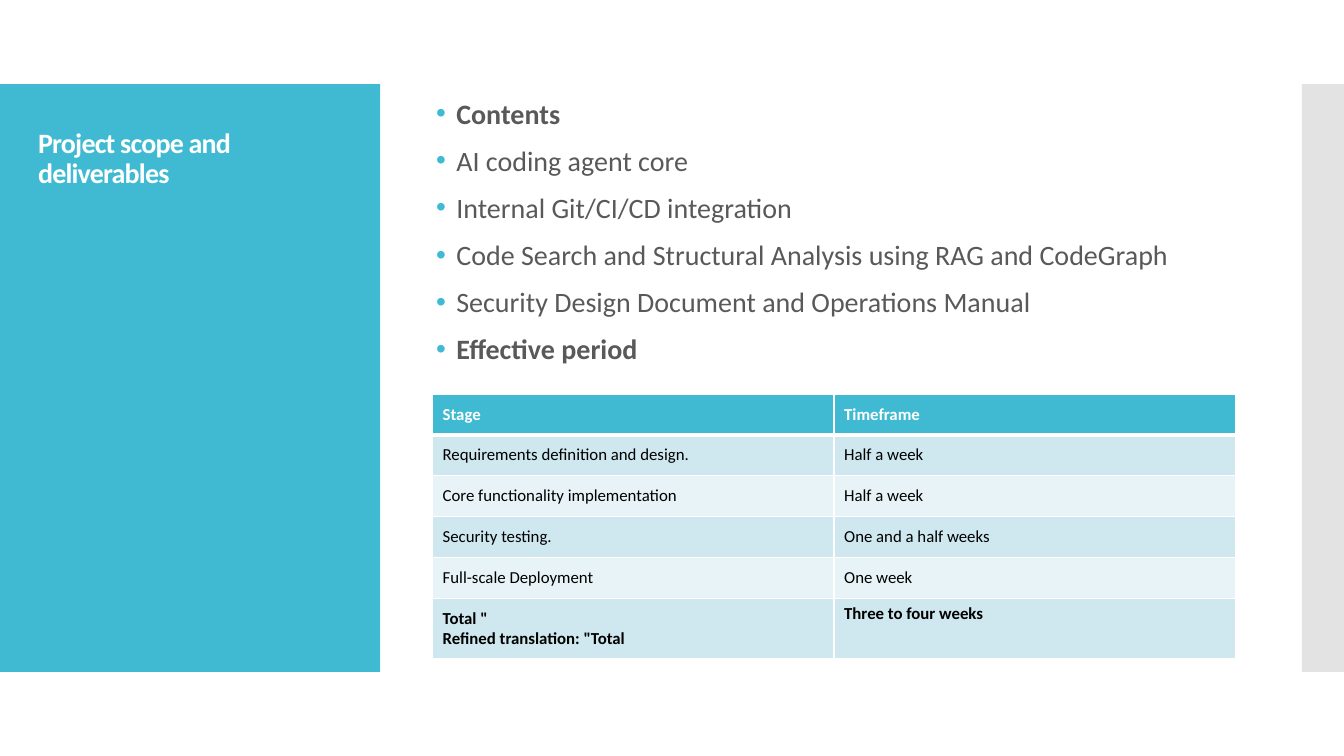
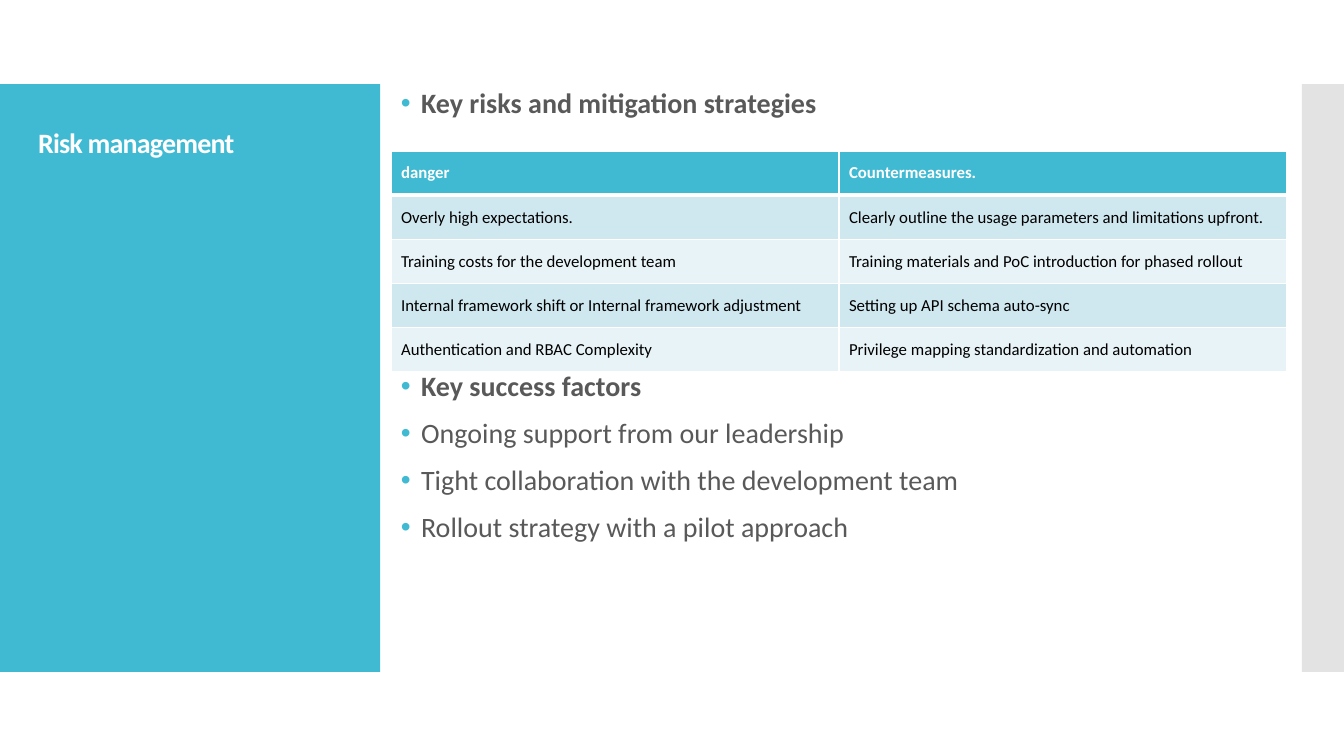
from lxml import etree
from pptx import Presentation
from pptx.dml.color import RGBColor
from pptx.enum.shapes import MSO_SHAPE
from pptx.enum.text import MSO_ANCHOR
from pptx.oxml.ns import qn
from pptx.util import Inches, Pt

RECT = MSO_SHAPE.RECTANGLE
MIDDLE = MSO_ANCHOR.MIDDLE
TOP = MSO_ANCHOR.TOP

TEAL = RGBColor(0x40, 0xBA, 0xD2)
GREY = RGBColor(0xC8, 0xC8, 0xC8)
INK = RGBColor(0x59, 0x59, 0x59)
WHITE = RGBColor(0xFF, 0xFF, 0xFF)
BLACK = RGBColor(0x00, 0x00, 0x00)
BANDS = [RGBColor(0xE8, 0xF3, 0xF7), RGBColor(0xCF, 0xE7, 0xEE)]
FONT = "Calibri"

ROWS, COLS = 18, 32
UNIT = Inches(7.5) // ROWS
PANEL = (0, 2, 9.05, 14)
STRIP = (31, 2, 1, 14)
TITLE = (0.67, 2.95, 7.73, 12.07)

PAGES = [
    {
        "title": "Project scope and deliverables",
        "lists": [((10.15, 2.26, 19.58, 6.84), [
            ("Contents", True),
            ("AI coding agent core", False),
            ("Internal Git/CI/CD integration", False),
            ("Code Search and Structural Analysis using RAG and CodeGraph", False),
            ("Security Design Document and Operations Manual", False),
            ("Effective period", True),
        ])],
        "area": (10.3, 9.38, 19.12, 6.31),
        "total": 1.44,
        "table": [
            ("Stage", "Timeframe"),
            ("Requirements definition and design.", "Half a week"),
            ("Core functionality implementation", "Half a week"),
            ("Security testing.", "One and a half weeks"),
            ("Full-scale Deployment", "One week"),
            ('Total "\vRefined translation: "Total', "Three to four weeks"),
        ],
    },
    {
        "title": "Risk management",
        "lists": [
            ((9.31, 2.02, 20.04, 1.2), [("Key risks and mitigation strategies", True)]),
            ((9.31, 8.74, 20.04, 7.2), [
                ("Key success factors", True),
                ("Ongoing support from our leadership", False),
                ("Tight collaboration with the development team", False),
                ("Rollout strategy with a pilot approach", False),
            ]),
        ],
        "area": (9.31, 3.6, 21.33, 5.25),
        "total": 0,
        "table": [
            ("danger", "Countermeasures."),
            ("Overly high expectations.",
             "Clearly outline the usage parameters and limitations upfront."),
            ("Training costs for the development team",
             "Training materials and PoC introduction for phased rollout"),
            ("Internal framework shift or Internal framework adjustment",
             "Setting up API schema auto-sync"),
            ("Authentication and RBAC Complexity",
             "Privilege mapping standardization and automation"),
        ],
    },
]


def place(area):
    return [round(part * UNIT) for part in area]


def write(para, text, size=20, color=INK, bold=False, line=0.9, gap=0, track=0, bullet=False):
    para.text = text
    para.line_spacing = line
    para.space_before = Pt(gap)
    for run in para.runs:
        run.font.name = FONT
        run.font.size = Pt(size)
        run.font.bold = bold
        run.font.color.rgb = color
        if track:
            run.font._element.set("spc", str(track))
    if bullet:
        props = para._p.get_or_add_pPr()
        props.set("marL", str(Inches(0.2)))
        props.set("indent", str(-Inches(0.2)))
        tint = etree.SubElement(props, qn("a:buClr"))
        etree.SubElement(tint, qn("a:srgbClr"), val=str(TEAL))
        etree.SubElement(props, qn("a:buFont"), typeface="Arial")
        etree.SubElement(props, qn("a:buChar"), char="•")


deck = Presentation()
deck.slide_width = COLS * UNIT
deck.slide_height = ROWS * UNIT

for page in PAGES:
    slide = deck.slides.add_slide(deck.slide_layouts[6])
    shapes = slide.shapes

    for area, color in ((PANEL, TEAL), (STRIP, GREY)):
        band = shapes.add_shape(RECT, *place(area))
        band.shadow.inherit = False
        band.fill.solid()
        band.fill.fore_color.rgb = color
        band.line.fill.background()
        if color == GREY:
            tint = band._element.spPr.find(qn("a:solidFill"))[0]
            etree.SubElement(tint, qn("a:alpha"), val="50000")

    frame = shapes.add_textbox(*place(TITLE)).text_frame
    frame.word_wrap = True
    write(frame.paragraphs[0], page["title"], color=WHITE, bold=True, track=-60)

    for area, items in page["lists"]:
        frame = shapes.add_textbox(*place(area)).text_frame
        frame.word_wrap = True
        for num, (text, bold) in enumerate(items):
            para = frame.add_paragraph() if num else frame.paragraphs[0]
            write(para, text, bold=bold, gap=12 if num else 0, bullet=True)

    data = page["table"]
    last = len(data) - 1
    grid = shapes.add_table(len(data), 2, *place(page["area"])).table
    grid.horz_banding = False
    if page["total"]:
        high = (page["area"][3] - page["total"]) / last
        for row in grid.rows:
            row.height = round(high * UNIT)
        grid.rows[last].height = round(page["total"] * UNIT)

    for num, texts in enumerate(data):
        head = num == 0
        total = page["total"] and num == last
        for col, text in enumerate(texts):
            cell = grid.cell(num, col)
            cell.vertical_anchor = TOP if total and col else MIDDLE
            props = cell._tc.get_or_add_tcPr()
            for side in "LRTB":
                thick = (num, side) in ((0, "B"), (1, "T"))
                edge = etree.SubElement(props, qn("a:ln" + side), w=str(Pt(3 if thick else 1)))
                fill = etree.SubElement(edge, qn("a:solidFill"))
                etree.SubElement(fill, qn("a:srgbClr"), val=str(WHITE))
            cell.fill.solid()
            cell.fill.fore_color.rgb = TEAL if head else BANDS[num % 2]
            write(cell.text_frame.paragraphs[0], text, size=12, line=1.0,
                  color=WHITE if head else BLACK, bold=bool(head or total))

deck.save("out.pptx")
